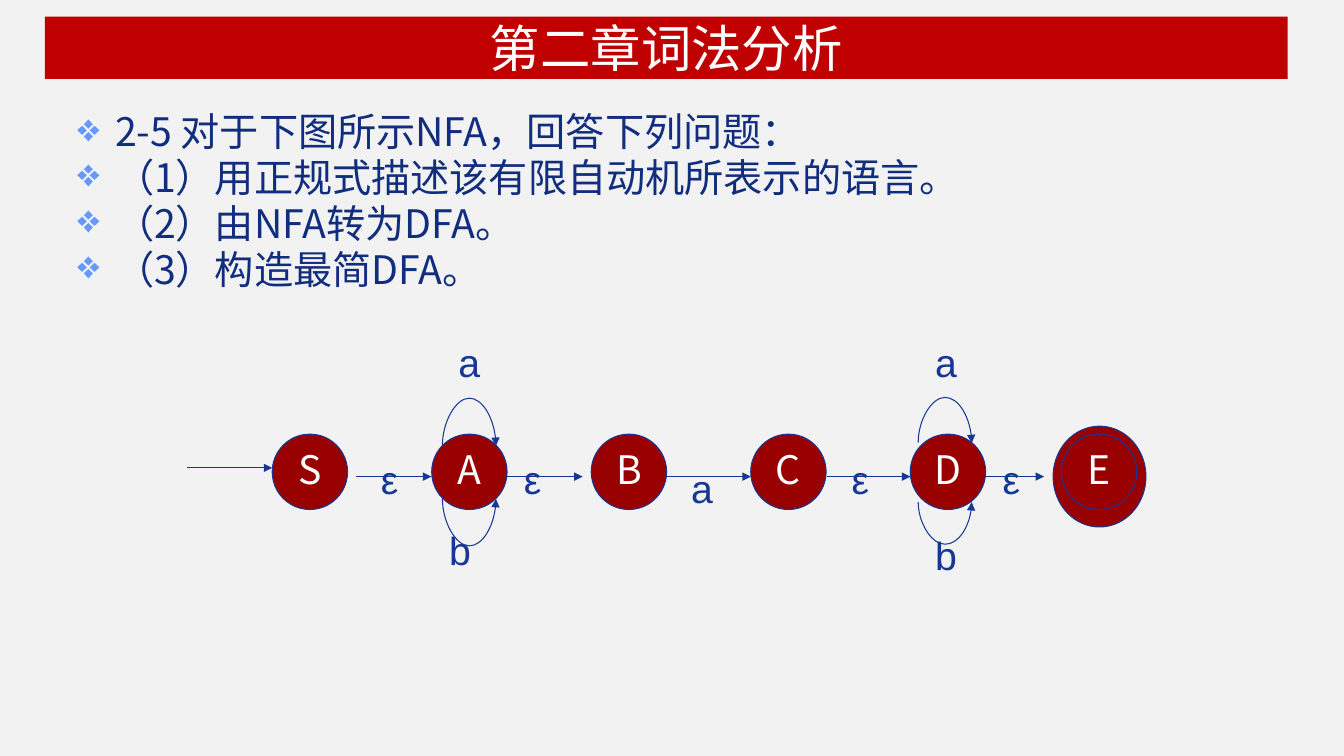
from typing import NamedTuple

from lxml import etree
from pptx import Presentation
from pptx.dml.color import RGBColor
from pptx.enum import shapes as sh, text as tx
from pptx.oxml import ns
from pptx.util import Cm, Pt

HUE = {"back": "F2F2F2", "band": "C00000", "node": "990000", "ink": "163794",
       "body": "112D7E", "mark": "6699FF", "white": "FFFFFF"}
CJK, LATIN = "Noto Sans CJK SC", "Arial"


class Node(NamedTuple):
    name: str
    left: float
    top: float
    wide: float
    high: float


class Arrow(NamedTuple):
    start: float
    end: float
    y: float


class Label(NamedTuple):
    text: str
    left: float
    top: float


class Loop(NamedTuple):
    mid: float
    y: float
    rise: float  # above the ends when positive, below when negative


SIDE, STEP, FIRST, ROW = 1.9, 4.02, 6.86, 10.94
NODES = [Node("", 26.54, 10.74, 2.34, 2.54)]
NODES += [Node(name, FIRST + i * STEP, ROW, SIDE, SIDE)
          for i, name in enumerate("SABCD")]
NODES.append(Node("E", 26.75, ROW, SIDE, SIDE))
ARROWS = [Arrow(4.72, 6.86, 11.79)] + [
    Arrow(start, end, 12.01) for start, end in (
        (8.97, 10.87), (12.78, 14.68), (16.79, 18.92),
        (20.83, 22.94), (24.84, 26.31))]
LABELS = [Label("ε", left, 11.48) for left in (9.35, 12.95, 21.21, 25.02)]
LABELS += [Label("a", 17.17, 11.71), Label("a", 11.3, 8.53),
           Label("b", 11.07, 13.28), Label("a", 23.32, 8.53),
           Label("b", 23.32, 13.39)]
LOOPS = [Loop(11.82, 11.23, 1.19), Loop(11.82, 12.57, -1.19),
         Loop(23.81, 11.16, 1.14), Loop(23.81, 12.65, -1.07)]
LINES = ["2-5 对于下图所示NFA，回答下列问题：",
         "（1）用正规式描述该有限自动机所表示的语言。",
         "（2）由NFA转为DFA。",
         "（3）构造最简DFA。"]


def rgb(key: str) -> RGBColor:
    return RGBColor.from_string(HUE[key])


def add(parent, tag: str, **attrs: str):
    return etree.SubElement(parent, ns.qn(tag), attrs)


def put(target, **values) -> None:
    """Set each named attribute on the target."""
    for name, value in values.items():
        setattr(target, name, value)


def write(para, words: str, size: float, face: str, hue: str) -> None:
    run = para.add_run()
    put(run, text=words)
    put(run.font, size=Pt(size), name=face, bold=False)
    run.font.color.rgb = rgb(hue)
    add(run.font._element, "a:ea", typeface=face)


def paint(shape, hue: str) -> None:
    shape.fill.solid()
    shape.fill.fore_color.rgb = rgb(hue)


def stroke(shape) -> None:
    shape.line.color.rgb = rgb("ink")
    shape.line.width = Pt(0.75)


def finish(line) -> None:
    """Style a connector and give it an arrowhead."""
    stroke(line)
    add(line.line._get_or_add_ln(), "a:tailEnd", type="triangle")
    add(line._element.spPr, "a:effectLst")


def draw_node(slide, node: Node) -> None:
    oval = slide.shapes.add_shape(sh.MSO_SHAPE.OVAL, *map(Cm, node[1:]))
    oval.shadow.inherit = False
    paint(oval, "node")
    stroke(oval)
    if node.name:
        put(oval.text_frame, word_wrap=False,
            vertical_anchor=tx.MSO_ANCHOR.MIDDLE)
        para = oval.text_frame.paragraphs[0]
        put(para, alignment=tx.PP_ALIGN.CENTER, line_spacing=0.9)
        write(para, node.name, 28, CJK, "white")


def draw_arrow(slide, arrow: Arrow) -> None:
    y = Cm(arrow.y)
    finish(slide.shapes.add_connector(
        sh.MSO_CONNECTOR.STRAIGHT, Cm(arrow.start), y, Cm(arrow.end), y))


def draw_label(slide, label: Label) -> None:
    wide = 0.94 if label.text == "ε" else 1.07
    box = slide.shapes.add_textbox(
        Cm(label.left), Cm(label.top), Cm(wide), Cm(1.32))
    put(box.text_frame, word_wrap=False,
        auto_size=tx.MSO_AUTO_SIZE.SHAPE_TO_FIT_TEXT)
    para = box.text_frame.paragraphs[0]
    put(para, line_spacing=0.9)
    write(para, label.text, 28, LATIN, "ink")


def draw_loop(slide, loop: Loop) -> None:
    """Turn a thin curved connector on its side so it bulges up or down."""
    thin, span = 0.01, 1.35
    line = slide.shapes.add_connector(
        sh.MSO_CONNECTOR.CURVE, Cm(loop.mid), Cm(loop.y - span / 2),
        Cm(loop.mid + thin), Cm(loop.y + span / 2))
    up = loop.rise > 0
    put(line, rotation=90 if up else 270)
    props = line._element.spPr
    props.find(ns.qn("a:xfrm")).set("flipV" if up else "flipH", "1")
    guides = props.find(ns.qn("a:prstGeom")).find(ns.qn("a:avLst"))
    bulge = round(-loop.rise / thin * 100000) if up else round(
        abs(loop.rise) / thin * 100000)
    add(guides, "a:gd", name="adj1", fmla=f"val {bulge}")
    finish(line)


def draw_title(slide) -> None:
    title = slide.shapes.title
    put(title, left=Cm(1.13), top=Cm(0.42), width=Cm(31.32), height=Cm(1.57))
    paint(title, "band")
    put(title.text_frame, vertical_anchor=tx.MSO_ANCHOR.MIDDLE)
    para = title.text_frame.paragraphs[0]
    put(para, alignment=tx.PP_ALIGN.CENTER)
    write(para, "第二章词法分析", 36, CJK, "white")


def draw_body(slide) -> None:
    box = slide.shapes.add_textbox(Cm(1.7), Cm(2.72), Cm(30.48), Cm(14.58))
    frame = box.text_frame
    put(frame, word_wrap=True)
    for i, words in enumerate(LINES):
        para = frame.add_paragraph() if i else frame.paragraphs[0]
        put(para, line_spacing=0.9, space_before=Pt(2.6 if i else 0))
        props = para._p.get_or_add_pPr()
        props.set("marL", str(Cm(0.95)))
        props.set("indent", str(Cm(-0.95)))
        add(add(props, "a:buClr"), "a:srgbClr", val=HUE["mark"])
        add(props, "a:buChar", char="❖")
        write(para, words, 28, CJK, "body")


def main() -> None:
    deck = Presentation()
    put(deck, slide_width=Cm(33.87), slide_height=Cm(19.05))
    slide = deck.slides.add_slide(deck.slide_layouts[5])
    paint(slide.background, "back")
    draw_title(slide)
    draw_body(slide)
    for draw, items in ((draw_node, NODES), (draw_arrow, ARROWS),
                        (draw_label, LABELS), (draw_loop, LOOPS)):
        for item in items:
            draw(slide, item)
    deck.save("out.pptx")


if __name__ == "__main__":
    main()
